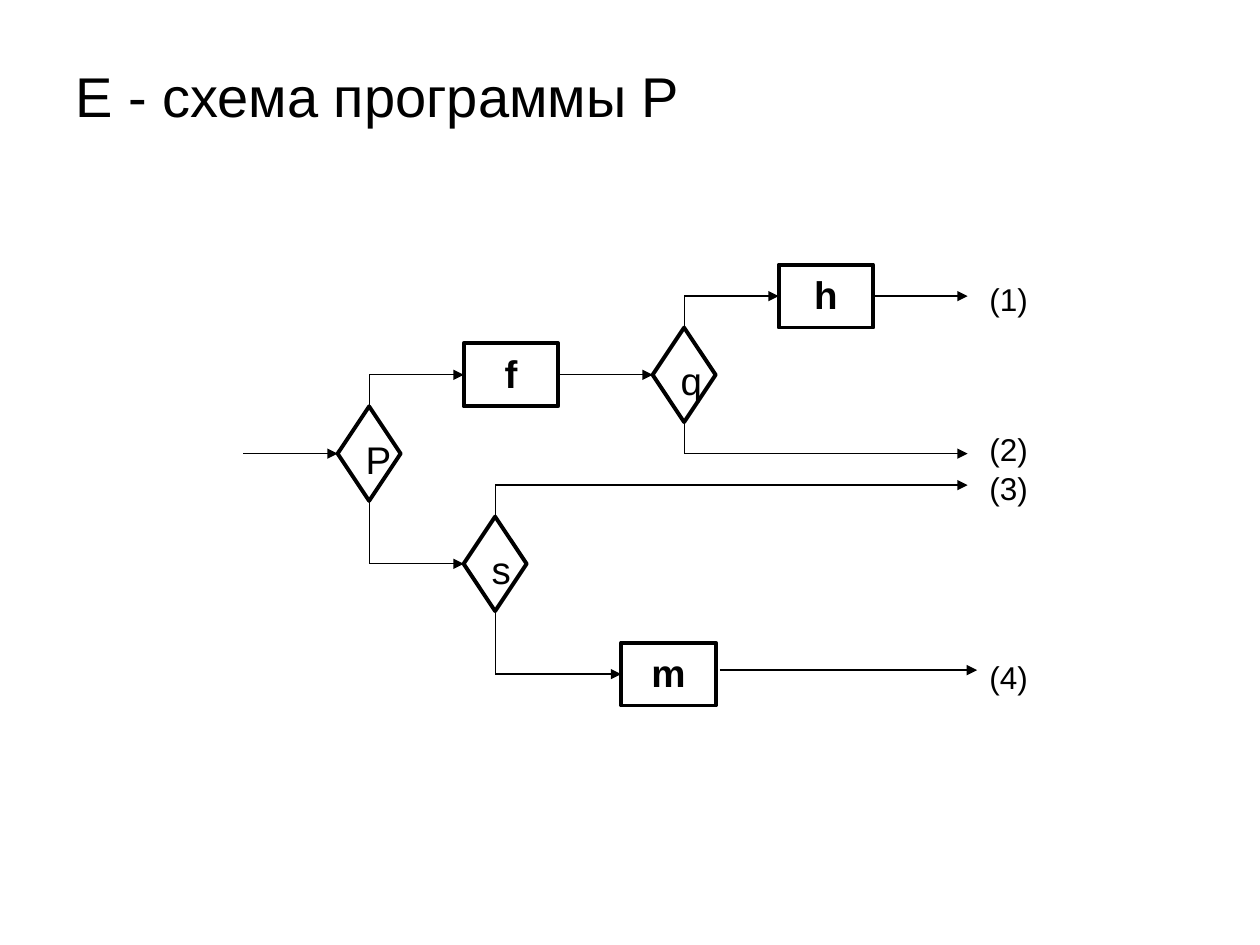
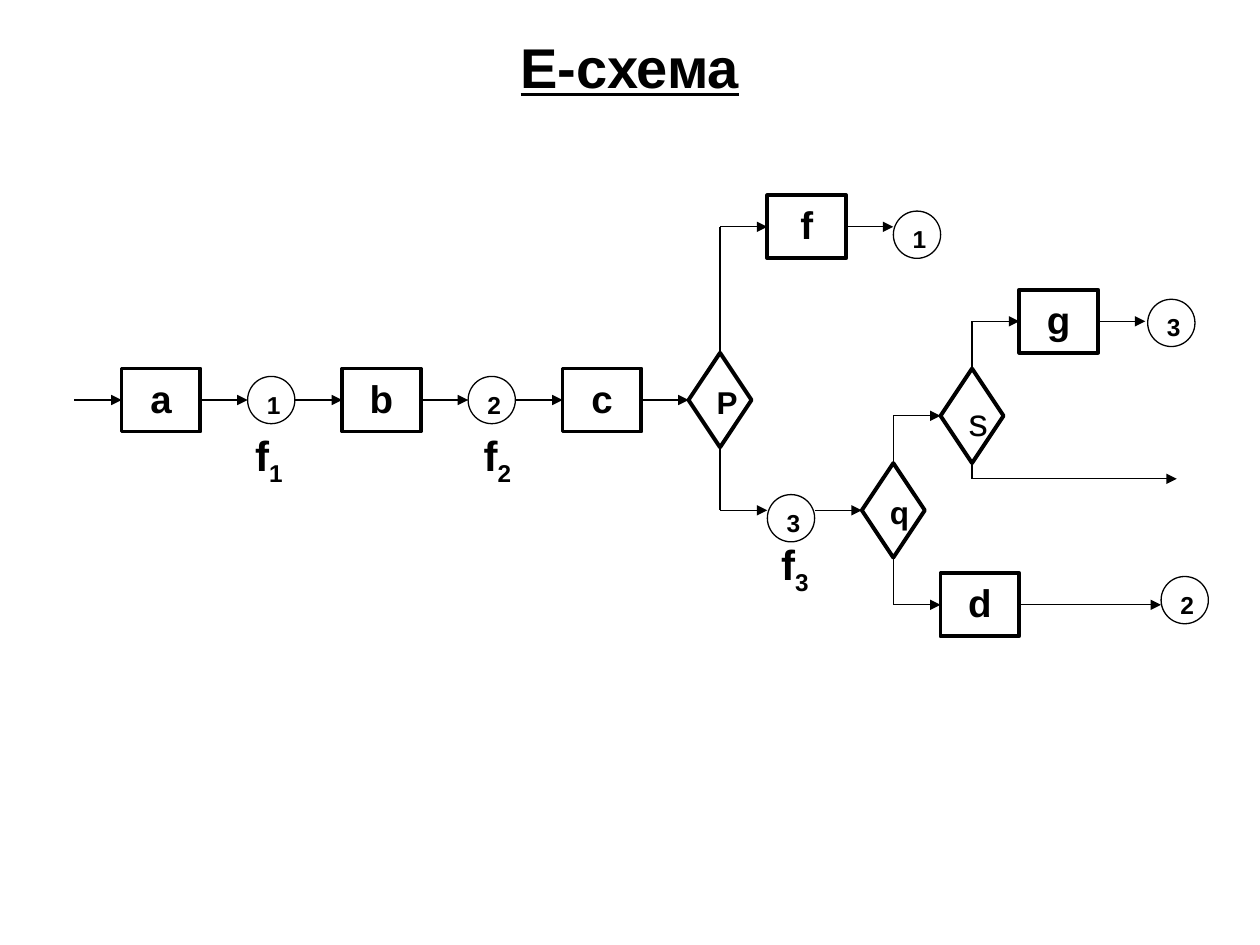
from dataclasses import dataclass
from typing import Any

from lxml import etree
from pptx import Presentation
from pptx.dml.color import RGBColor
from pptx.enum.shapes import MSO_CONNECTOR, MSO_SHAPE
from pptx.enum.text import MSO_ANCHOR, PP_ALIGN
from pptx.oxml.ns import qn
from pptx.util import Inches, Pt

STRAIGHT = MSO_CONNECTOR.STRAIGHT
RECTANGLE = MSO_SHAPE.RECTANGLE
DECISION = MSO_SHAPE.FLOWCHART_DECISION
OVAL = MSO_SHAPE.OVAL
TOP_ANCHOR = MSO_ANCHOR.TOP
LEFT_ALIGN, CENTER = PP_ALIGN.LEFT, PP_ALIGN.CENTER
TOP, LEFT, BOTTOM, RIGHT = range(4)

BLANK_LAYOUT = 6
FONT = "Arial"
BLACK, WHITE = "000000", "FFFFFF"
THIN, THICK = 0.75, 2.25
CELL = 0.125


def color(code):
    return RGBColor.from_string(code)


@dataclass
class Node:
    """A flowchart shape together with its place on the grid."""
    shape: Any
    col: float
    row: float
    cols: float
    rows: float

    def side(self, site):
        across, down = ((0.5, 0), (0, 0.5), (0.5, 1), (1, 0.5))[site]
        return (self.col + self.cols * across, self.row + self.rows * down,
                self.shape, site)


class Scheme:
    """Draws program schemes on a grid of eighth-inch cells."""

    def __init__(self, deck):
        self.deck = deck

    def new_page(self, left, top):
        """Start a slide whose grid has its origin at left, top."""
        self.page = self.deck.slides.add_slide(
            self.deck.slide_layouts[BLANK_LAYOUT])
        self.left, self.top = left, top

    def point(self, col, row):
        return Inches(self.left + col * CELL), Inches(self.top + row * CELL)

    def set_text(self, shape, text, size, bold=False, align=LEFT_ALIGN, index=""):
        frame = shape.text_frame
        frame.word_wrap = True
        frame.vertical_anchor = TOP_ANCHOR
        para = frame.paragraphs[0]
        para.alignment = align
        para.font.name, para.font.size = FONT, Pt(size)
        para.font.bold = bold
        para.font.color.rgb = color(BLACK)
        para.add_run().text = text
        if index:
            span = para.add_run()
            span.text = index
            span.font._element.set("baseline", "-25000")
        return para

    def title(self, text, top, bottom=0.893, **style):
        width, height = self.deck.slide_width, self.deck.slide_height
        box = self.page.shapes.add_textbox(
            int(width * 0.05), int(height * top),
            int(width * 0.9), int(height * (bottom - top)))
        return self.set_text(box, text, 32, **style)

    def label(self, text, col, row, cols, rows, size, **style):
        box = self.page.shapes.add_textbox(
            *self.point(col, row), Inches(cols * CELL), Inches(rows * CELL))
        self.set_text(box, text, size, **style)

    def node(self, kind, text, col, row, cols, rows, size, weight, **style):
        shape = self.page.shapes.add_shape(
            kind, *self.point(col, row), Inches(cols * CELL), Inches(rows * CELL))
        shape.shadow.inherit = False
        shape.fill.solid()
        shape.fill.fore_color.rgb = color(WHITE)
        shape.line.color.rgb = color(BLACK)
        shape.line.width = Pt(weight)
        self.set_text(shape, text, size, **style)
        return Node(shape, col, row, cols, rows)

    def action(self, text, col, row, cols):
        """Box whose left side is centred on col, row."""
        return self.node(RECTANGLE, text, col, row - 2, cols, 4, 22, THICK,
                         bold=True, align=CENTER)

    def decision(self, text, col, row, size=22, bold=False):
        """Diamond whose left corner is at col, row."""
        return self.node(DECISION, text, col, row - 3, 4, 6, size, THICK, bold=bold)

    def marker(self, text, col, row):
        return self.node(OVAL, text, col, row, 3, 3, 14, THIN, bold=True)

    def line(self, start, end, arrow=True):
        """Join two ends, each (col, row) or a side of a node."""
        connector = self.page.shapes.add_connector(
            STRAIGHT, *self.point(*start[:2]), *self.point(*end[:2]))
        if start[2:]:
            connector.begin_connect(*start[2:])
        if end[2:]:
            connector.end_connect(*end[2:])
        connector.line.color.rgb = color(BLACK)
        connector.line.width = Pt(THIN)
        if arrow:
            etree.SubElement(connector.line._get_or_add_ln(), qn("a:tailEnd"),
                             type="triangle")
        etree.SubElement(connector._element.spPr, qn("a:effectLst"))

    def branch(self, start, end):
        """Go up or down from start, then across to end."""
        corner = (start[0], end[1])
        self.line(start, corner, arrow=False)
        self.line(corner, end)


def program_scheme(scheme):
    scheme.new_page(0.18, 0.1)
    scheme.title("E - схема программы P", 0.059)
    p = scheme.decision("P", 20, 28)
    f = scheme.action("f", 28, 23, 6)
    s = scheme.decision("s", 28, 35)
    q = scheme.decision("q", 40, 23)
    h = scheme.action("h", 48, 18, 6)
    m = scheme.action("m", 38, 42, 6)

    scheme.line((14, 28), p.side(LEFT))
    scheme.line(f.side(RIGHT), q.side(LEFT))
    scheme.line(h.side(RIGHT), (60, 18))
    scheme.line((44.25, 41.75), (60.6, 41.75))
    for start, end in (
        (p.side(TOP), f.side(LEFT)),
        (p.side(BOTTOM), s.side(LEFT)),
        (q.side(TOP), h.side(LEFT)),
        (q.side(BOTTOM), (60, 28)),
        (s.side(TOP), (60, 30)),
        (s.side(BOTTOM), m.side(LEFT)),
    ):
        scheme.branch(start, end)
    for number, row in enumerate((16.6, 26.1, 28.6, 40.6), 1):
        scheme.label(f"({number})", 60.6, row, 5, 3.2, 18)


def marked_scheme(scheme):
    scheme.new_page(0.59, 0.05)
    heading = scheme.title("Е-схема", 0.028, bold=True, align=CENTER)
    heading.font.underline = True
    a, b, c = (scheme.action(name, 3 + 14 * step, 25, 5)
               for step, name in enumerate("abc"))
    p = scheme.decision("P", 39, 25, 18, True)
    f = scheme.action("f", 44, 14, 5)
    q = scheme.decision("q", 50, 32, 18, True)
    s = scheme.decision("s", 55, 26)
    g = scheme.action("g", 60, 20, 5)
    d = scheme.action("d", 55, 38, 5)

    for start, end in (
        ((0, 25), a.side(LEFT)),
        (a.side(RIGHT), (11, 25)),
        ((14, 25), b.side(LEFT)),
        (b.side(RIGHT), (25, 25)),
        ((28, 25), c.side(LEFT)),
        (c.side(RIGHT), p.side(LEFT)),
        (f.side(RIGHT), (52, 14)),
        ((47, 32), q.side(LEFT)),
        (g.side(RIGHT), (68, 20)),
        (d.side(RIGHT), (69, 38)),
    ):
        scheme.line(start, end)
    for start, end in (
        (p.side(TOP), f.side(LEFT)),
        (p.side(BOTTOM), (44, 32)),
        (q.side(TOP), s.side(LEFT)),
        (q.side(BOTTOM), d.side(LEFT)),
        (s.side(TOP), g.side(LEFT)),
        (s.side(BOTTOM), (70, 30)),
    ):
        scheme.branch(start, end)
    for text, col, row in (
        ("1", 11, 23.5), ("2", 25, 23.5), ("3", 44, 31),
        ("1", 52, 13), ("3", 68.15, 18.6), ("2", 69, 36.2),
    ):
        scheme.marker(text, col, row)
    for index, col, row in (("1", 10.7, 26.5), ("2", 25.2, 26.5), ("3", 44.1, 33.4)):
        scheme.label("f", col, row, 4, 4.5, 24, bold=True, index=index)


def main():
    deck = Presentation()
    deck.slide_width, deck.slide_height = Inches(10), Inches(7.5)
    scheme = Scheme(deck)
    program_scheme(scheme)
    marked_scheme(scheme)
    deck.save("out.pptx")


if __name__ == "__main__":
    main()
